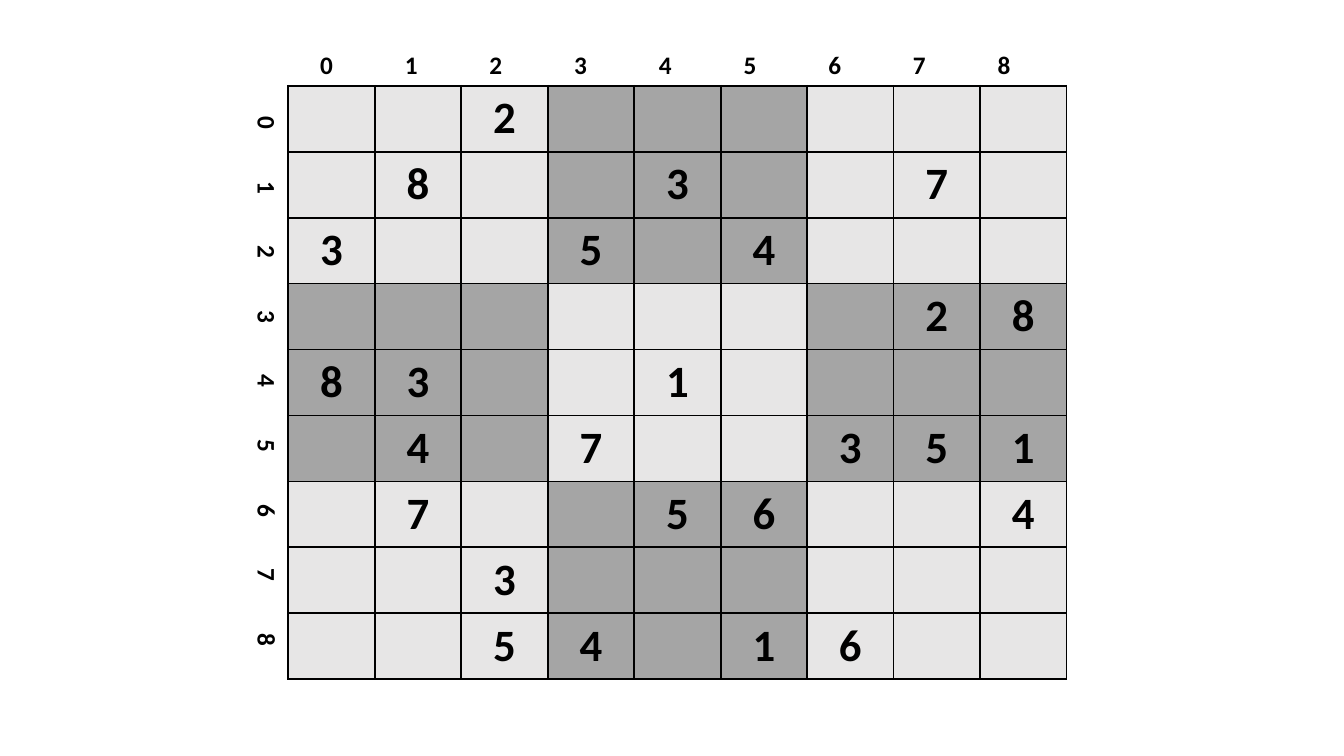
from lxml import etree
from pptx import Presentation
from pptx.dml.color import RGBColor
from pptx.enum.text import MSO_ANCHOR, MSO_AUTO_SIZE, PP_ALIGN
from pptx.oxml.ns import qn
from pptx.util import Inches, Pt

MIDDLE = MSO_ANCHOR.MIDDLE
GROW = MSO_AUTO_SIZE.SHAPE_TO_FIT_TEXT
CENTER = PP_ALIGN.CENTER
FONT = "Calibri"
BLACK, LIGHT, DARK = "000000", "E7E6E6", "A5A5A5"
LEFT, TOP, WIDTH, HEIGHT = 2.86, 0.85, 7.72, 5.89
LABEL_HEIGHT = 0.4
PUZZLE = [
    "..2......",
    ".8..3..7.",
    "3..5.4...",
    ".......28",
    "83..1....",
    ".4.7..351",
    ".7..56..4",
    "..3......",
    "..54.16..",
]


def rgb(color):
    """Turn a hex string into a colour."""
    return RGBColor.from_string(color)


def set_font(p, size):
    """Give a paragraph the bold black font of the slide."""
    p.font.name = FONT
    p.font.size = Pt(size)
    p.font.bold = True
    p.font.color.rgb = rgb(BLACK)


def add_borders(cell):
    """Draw a black line on all four sides of a cell."""
    tc_pr = cell._tc.get_or_add_tcPr()
    for side in ("a:lnL", "a:lnR", "a:lnT", "a:lnB"):
        ln = etree.SubElement(tc_pr, qn(side), w=str(Pt(1.5)))
        fill = etree.SubElement(ln, qn("a:solidFill"))
        etree.SubElement(fill, qn("a:srgbClr"), val=BLACK)


def add_grid(s):
    """Add the puzzle table with its three by three blocks shaded in turn."""
    size = len(PUZZLE)
    table = s.shapes.add_table(size, size, Inches(LEFT), Inches(TOP),
                               Inches(WIDTH), Inches(HEIGHT)).table
    table.first_row = False
    table.horz_banding = False
    for row, digits in enumerate(PUZZLE):
        for col, digit in enumerate(digits):
            cell = table.cell(row, col)
            add_borders(cell)
            cell.fill.solid()
            cell.fill.fore_color.rgb = rgb(DARK if (row // 3 + col // 3) % 2 else LIGHT)
            if digit != ".":
                cell.text = digit
                cell.vertical_anchor = MIDDLE
                p = cell.text_frame.paragraphs[0]
                p.alignment = CENTER
                set_font(p, 32)


def add_labels(s, left, top, length, pitch, rotation=0):
    """Add the index numbers along one side, spaced by centred tab stops."""
    box = s.shapes.add_textbox(Inches(left), Inches(top),
                               Inches(length), Inches(LABEL_HEIGHT))
    box.rotation = rotation
    tf = box.text_frame
    tf.word_wrap = True
    tf.auto_size = GROW
    p = tf.paragraphs[0]
    p.text = "".join(f"\t{i}" for i in range(len(PUZZLE)))
    tabs = etree.SubElement(p._p.get_or_add_pPr(), qn("a:tabLst"))
    for i in range(len(PUZZLE)):
        etree.SubElement(tabs, qn("a:tab"), pos=str(Inches(0.28 + i * pitch)), algn="ctr")
    set_font(p, 18)


def main():
    """Build the slide and save it."""
    prs = Presentation()
    prs.slide_width, prs.slide_height = Inches(13.33), Inches(7.5)
    s = prs.slides.add_slide(prs.slide_layouts[6])
    add_grid(s)
    add_labels(s, LEFT, 0.44, WIDTH, 0.84)
    add_labels(s, -0.29, 3.59, HEIGHT, 0.64, rotation=90)
    prs.save("out.pptx")


if __name__ == "__main__":
    main()
